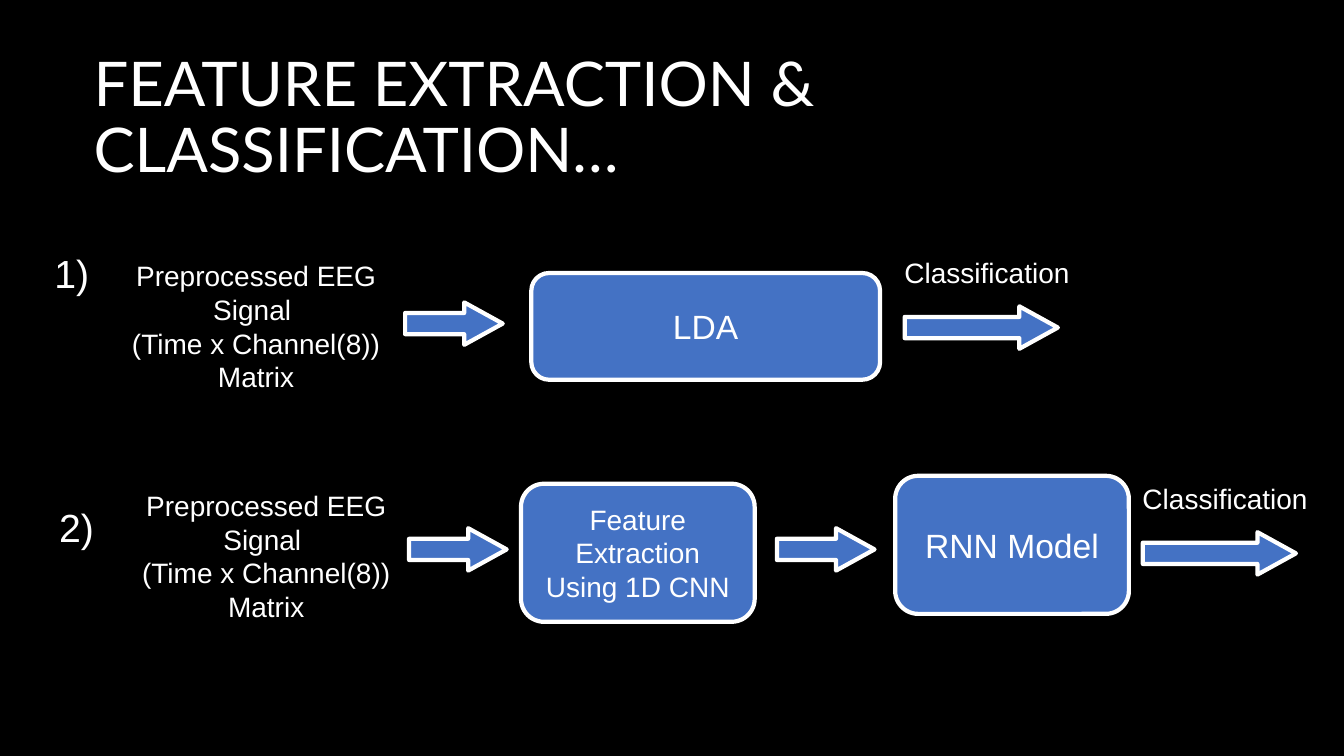
import pptx
import pptx.dml.color
import pptx.enum.shapes
import pptx.enum.text
import pptx.util

Cm = pptx.util.Cm
Shapes = pptx.enum.shapes.MSO_SHAPE
Align = pptx.enum.text.PP_ALIGN
Anchor = pptx.enum.text.MSO_ANCHOR

BLACK = pptx.dml.color.RGBColor(0x00, 0x00, 0x00)
WHITE = pptx.dml.color.RGBColor(0xFF, 0xFF, 0xFF)
BLUE = pptx.dml.color.RGBColor(0x44, 0x72, 0xC4)

SIGNAL = "Preprocessed EEG Signal \n(Time x Channel(8)) Matrix"
ARROW_HEIGHT = 1.07
SHORT_ARROW = 2.46
LONG_ARROW = 3.86


def apply_format(target, values):
    for name, value in values.items():
        setattr(target, name, value)


def write_text(box, text, size, align, anchor, font="Arial", spacing=None):
    frame = box.text_frame
    apply_format(frame, {"word_wrap": True, "vertical_anchor": anchor})
    for index, line in enumerate(text.split("\n")):
        para = frame.add_paragraph() if index else frame.paragraphs[0]
        apply_format(para, {"alignment": align, "line_spacing": spacing})
        span = para.add_run()
        span.text = line
        apply_format(span.font, {"name": font, "size": pptx.util.Pt(size)})
        span.font.color.rgb = WHITE


def add_label(page, place, text, size=20, align=Align.CENTER,
              anchor=Anchor.TOP, **style):
    box = page.shapes.add_textbox(*map(Cm, place))
    write_text(box, text, size, align, anchor, **style)


def add_blue_shape(page, kind, place):
    shape = page.shapes.add_shape(kind, *map(Cm, place))
    shape.shadow.inherit = False
    shape.fill.solid()
    shape.fill.fore_color.rgb = BLUE
    shape.line.color.rgb = WHITE
    shape.line.width = pptx.util.Pt(3)
    return shape


def add_stage(page, place, text, size):
    box = add_blue_shape(page, Shapes.ROUNDED_RECTANGLE, place)
    write_text(box, text, size, Align.CENTER, Anchor.MIDDLE)


def add_arrow(page, left, top, width):
    arrow = add_blue_shape(page, Shapes.RIGHT_ARROW,
                           (left, top, width, ARROW_HEIGHT))
    arrow.adjustments[1] = 0.907


def add_number(page, left, top, text):
    add_label(page, (left, top, 1.7, 1.45), text, 28, Align.LEFT)


def add_result(page, left, top):
    add_label(page, (left, top, 4.95, 1.12), "Classification")
    add_arrow(page, left + 0.4, top + 1.4, LONG_ARROW)


def add_lda_row(page):
    add_number(page, 1.12, 6.17, "1)")
    add_label(page, (2.72, 6.4, 7.47, 3.68), SIGNAL)
    add_arrow(page, 10.21, 7.62, SHORT_ARROW)
    add_stage(page, (13.39, 6.88, 8.79, 2.69), "LDA", 24)
    add_result(page, 22.4, 6.32)


def add_rnn_row(page):
    add_number(page, 1.24, 12.57, "2)")
    add_label(page, (2.72, 12.19, 7.98, 3.68), SIGNAL)
    for left in (10.31, 19.58):
        add_arrow(page, left, 13.31, SHORT_ARROW)
    add_stage(page, (13.13, 12.19, 5.89, 3.48),
              "Feature Extraction Using 1D CNN", 20)
    add_stage(page, (22.56, 11.99, 5.89, 3.48), "RNN Model", 24)
    add_result(page, 28.4, 12.01)


def main():
    deck = pptx.Presentation()
    apply_format(deck, {"slide_width": Cm(33.87), "slide_height": Cm(19.05)})
    page = deck.slides.add_slide(deck.slide_layouts[6])
    page.background.fill.solid()
    page.background.fill.fore_color.rgb = BLACK
    add_label(page, (2.11, 1.17, 29.21, 3.68),
              "FEATURE EXTRACTION & CLASSIFICATION…", 44, Align.LEFT,
              Anchor.MIDDLE, font="Lato", spacing=0.9)
    add_lda_row(page)
    add_rnn_row(page)
    deck.save("out.pptx")


if __name__ == "__main__":
    main()
